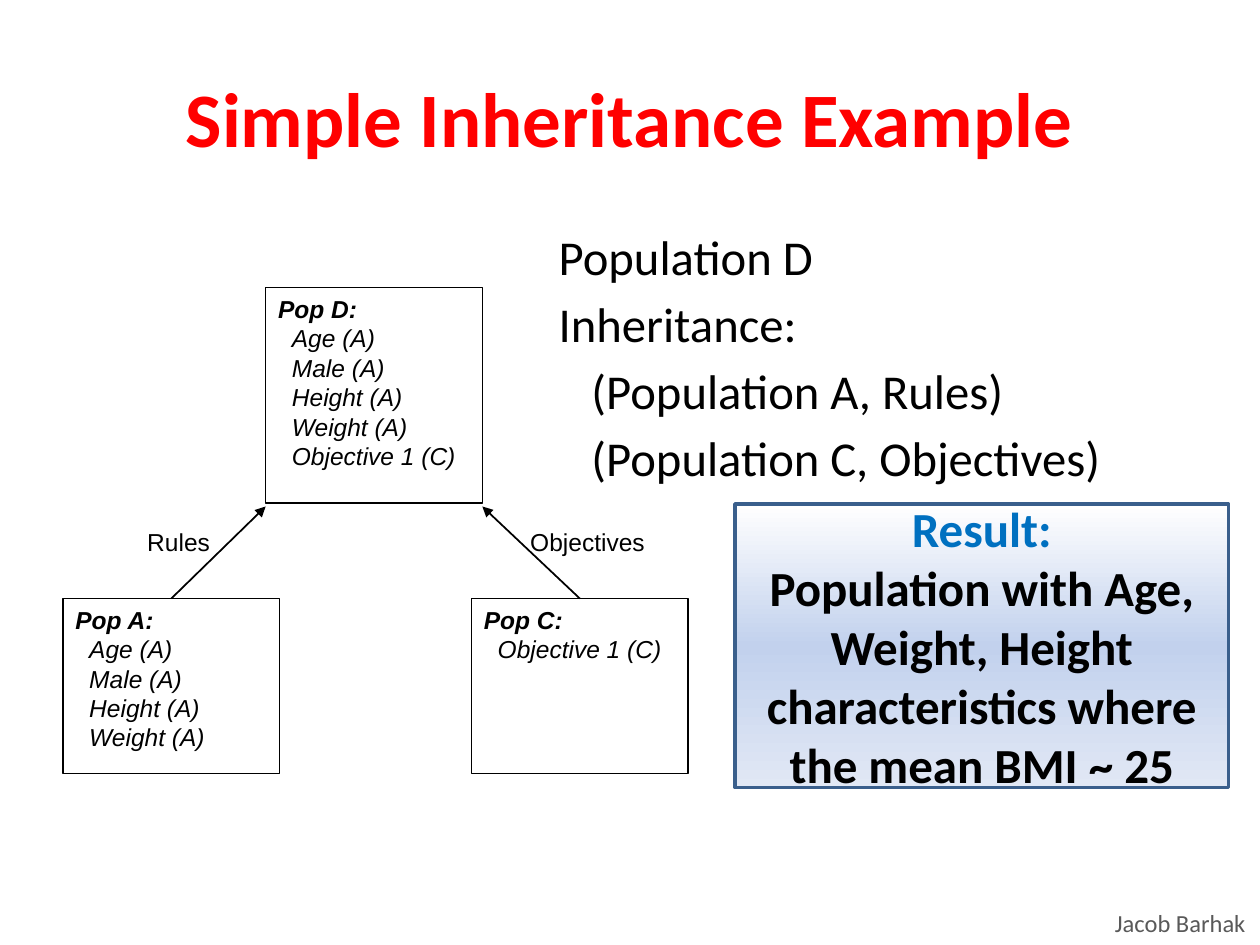
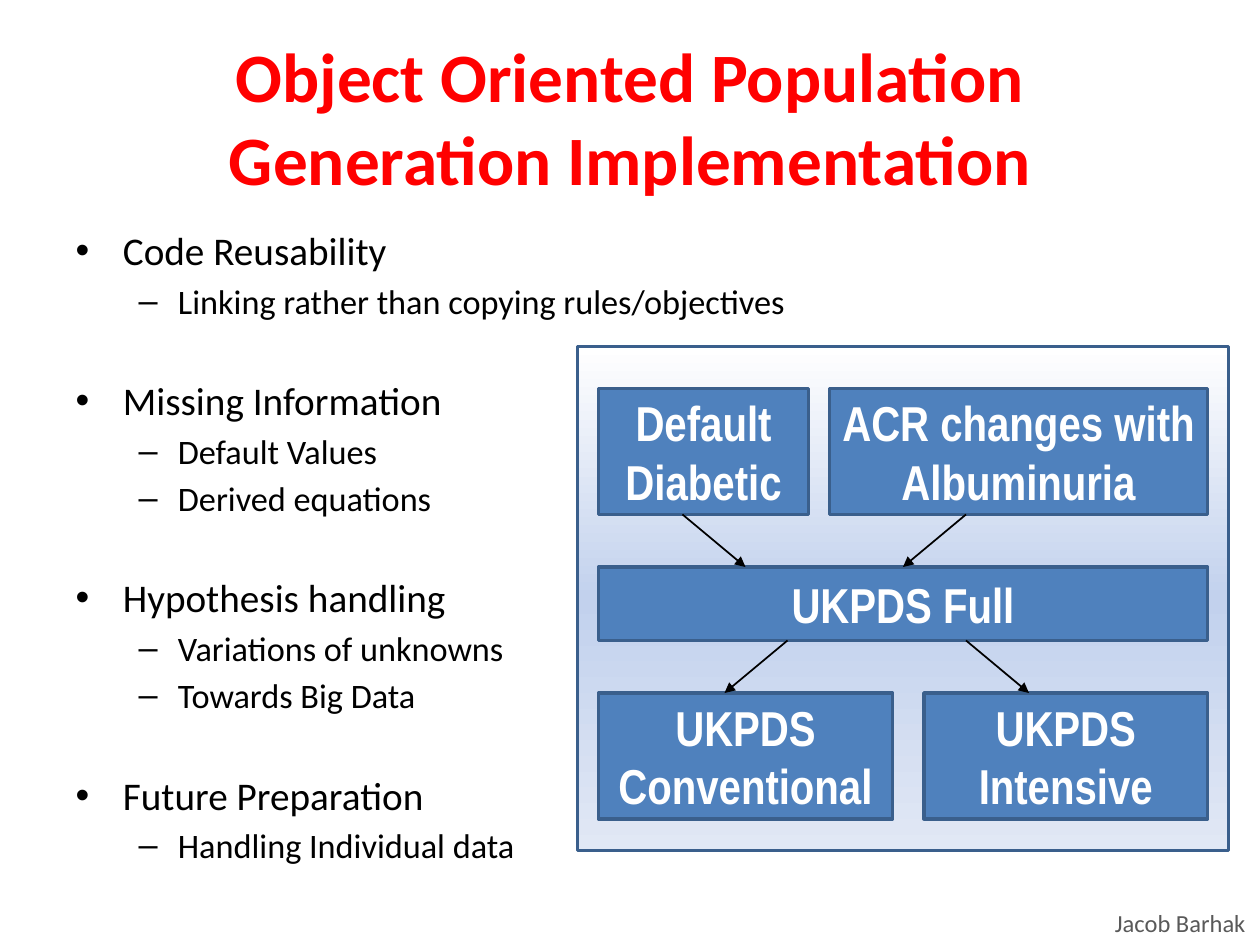
from dataclasses import dataclass

from lxml import etree
from pptx import Presentation
from pptx.dml.color import RGBColor
from pptx.enum.shapes import MSO_CONNECTOR, MSO_SHAPE
from pptx.enum.text import MSO_ANCHOR, MSO_AUTO_SIZE, PP_ALIGN
from pptx.oxml.ns import qn
from pptx.util import Inches, Pt

RECTANGLE, STRAIGHT = MSO_SHAPE.RECTANGLE, MSO_CONNECTOR.STRAIGHT
LEFT, CENTER = PP_ALIGN.LEFT, PP_ALIGN.CENTER
TOP, MIDDLE = MSO_ANCHOR.TOP, MSO_ANCHOR.MIDDLE
NO_AUTOFIT = MSO_AUTO_SIZE.NONE
TOP_SIDE = 0

BLACK = RGBColor(0x00, 0x00, 0x00)
WHITE = RGBColor(0xFF, 0xFF, 0xFF)
TITLE_RED = RGBColor(0xFF, 0x00, 0x00)
RESULT_BLUE = RGBColor(0x00, 0x70, 0xC0)
FOOTER_GREY = RGBColor(0x59, 0x59, 0x59)
BLOCK_BLUE = RGBColor(0x4F, 0x81, 0xBD)
EDGE_BLUE = RGBColor(0x3A, 0x5F, 0x8C)
PANEL_STOPS = [(0, WHITE), (50, RGBColor(0xC2, 0xD1, 0xED)), (100, RGBColor(0xE1, 0xE8, 0xF5))]

SLIDE_WIDTH, SLIDE_HEIGHT = Inches(10), Inches(7.5)
COLUMNS, ROWS = 120, 90

TITLE_FONT = dict(name="Calibri", bold=True, color=TITLE_RED)
FOOTER_FONT = dict(name="Calibri", size=14, color=FOOTER_GREY)
BODY_FONT = dict(name="Calibri", color=BLACK)
LABEL_FONT = dict(name="Arial", size=14, color=BLACK)
RESULT_FONT = dict(name="Calibri", size=28, bold=True, color=BLACK)
BLOCK_FONT = dict(name="Arial Narrow", size=28, bold=True, color=WHITE)


def col(count):
    return round(SLIDE_WIDTH * count / COLUMNS)


def row(count):
    return round(SLIDE_HEIGHT * count / ROWS)


@dataclass
class Box:
    """An area in grid columns and rows."""
    left: float
    top: float
    width: float
    height: float

    def area(self, left, top, width, height):
        return Box(self.left + left, self.top + top, width, height)

    def point(self, x, y):
        return col(self.left + x), row(self.top + y)

    def emu(self):
        return col(self.left), row(self.top), col(self.width), row(self.height)


TITLE_BOX = Box(6, 3.6, 108, 15)
FOOTER_BOX = Box(105, 85.92, 15, 4.08)


def format_font(font, style):
    for attribute, value in style.items():
        if attribute == "color":
            font.color.rgb = value
        else:
            setattr(font, attribute, Pt(value) if attribute == "size" else value)


def write(frame, lines, style, align=LEFT, anchor=TOP):
    frame.word_wrap = True
    frame.auto_size = NO_AUTOFIT
    frame.vertical_anchor = anchor
    frame.text = "\n".join(lines)
    for paragraph in frame.paragraphs:
        paragraph.alignment = align
        format_font(paragraph.runs[0].font, style)
    return frame.paragraphs


def indent(paragraph, left):
    """Set a plain left indent without a bullet."""
    properties = paragraph._p.get_or_add_pPr()
    properties.set("marL", str(Inches(left)))
    properties.set("indent", "0")
    etree.SubElement(properties, qn("a:buNone"))


def add_rectangle(slide, box, fill, edge, edge_width):
    rectangle = slide.shapes.add_shape(RECTANGLE, *box.emu())
    rectangle.shadow.inherit = False
    if fill:
        rectangle.fill.solid()
        rectangle.fill.fore_color.rgb = fill
    rectangle.line.color.rgb = edge
    rectangle.line.width = Pt(edge_width)
    return rectangle


def add_gradient_panel(slide, box):
    panel = add_rectangle(slide, box, None, EDGE_BLUE, 2)
    panel.fill.gradient()
    panel.fill.gradient_angle = 270
    stops = panel._element.spPr.find(".//" + qn("a:gsLst"))
    for old_stop in list(stops):
        stops.remove(old_stop)
    for percent, color in PANEL_STOPS:
        stop = etree.SubElement(stops, qn("a:gs"), pos=str(percent * 1000))
        etree.SubElement(stop, qn("a:srgbClr"), val=str(color))
    return panel


def add_arrow(slide, start, end):
    arrow = slide.shapes.add_connector(STRAIGHT, *start, *end)
    arrow.line.color.rgb = BLACK
    arrow.line.width = Pt(1)
    etree.SubElement(arrow.line._get_or_add_ln(), qn("a:tailEnd"), type="triangle")
    etree.SubElement(arrow._element.spPr, qn("a:effectLst"))
    return arrow


def add_label(slide, box, text, style):
    label = slide.shapes.add_textbox(*box.emu())
    write(label.text_frame, [text], style)
    return label


def add_master_footer(presentation, slide):
    """Build the footer on a slide, then move it to the master for all slides."""
    footer = add_label(slide, FOOTER_BOX, "Jacob Barhak", FOOTER_FONT)
    footer.text_frame.word_wrap = False
    presentation.slide_master.shapes._spTree.append(footer._element)


def place(placeholder, box):
    placeholder.left, placeholder.top, placeholder.width, placeholder.height = box.emu()


def add_titled_slide(presentation, title, size):
    slide = presentation.slides.add_slide(presentation.slide_layouts[1])
    place(slide.shapes.title, TITLE_BOX)
    write(slide.shapes.title.text_frame, [title], TITLE_FONT | dict(size=size), CENTER, MIDDLE)
    return slide


def fill_definition(slide, box):
    lines = [("Population D", 0.5), ("Inheritance:", 0.5),
             ("(Population A, Rules)", 0.76), ("(Population C, Objectives)", 0.76)]
    body = slide.placeholders[1]
    place(body, box)
    paragraphs = write(body.text_frame, [text for text, _ in lines], BODY_FONT | dict(size=27.8))
    for number, (paragraph, (_, left)) in enumerate(zip(paragraphs, lines)):
        paragraph.space_before = Pt(5 if number else 0)
        indent(paragraph, left)


def add_population(slide, box, name, members):
    population = add_rectangle(slide, box, WHITE, BLACK, 0.75)
    heading, *entries = write(population.text_frame, [name, *members],
                              LABEL_FONT | dict(italic=True))
    heading.runs[0].font.bold = True
    for entry in entries:
        indent(entry, 0.11)
    return population


def add_inheritance_tree(slide, box):
    traits = ["Age (A)", "Male (A)", "Height (A)", "Weight (A)"]
    objective = ["Objective 1 (C)"]
    width, parent_top, parent_height = 20.64, 29.6, 16.7
    child_left, child_height = 19.3, 20.5
    arrow_tip = child_height + 0.34
    add_population(slide, box.area(child_left, 0, width, child_height),
                   "Pop D:", traits + objective)
    parents = [
        ("Pop A:", traits, 0, child_left, "Rules", 6.84, 9.36),
        ("Pop C:", objective, 38.9, child_left + width, "Objectives", 43.32, 14.88),
    ]
    for name, members, left, tip, link, link_left, link_width in parents:
        parent = add_population(slide, box.area(left, parent_top, width, parent_height),
                                name, members)
        arrow = add_arrow(slide, box.point(left + width / 2, parent_top),
                          box.point(tip, arrow_tip))
        arrow.begin_connect(parent, TOP_SIDE)
        add_label(slide, box.area(link_left, 22.16, link_width, 4.68), link, LABEL_FONT)


def add_result(slide, box):
    result = add_gradient_panel(slide, box)
    conclusion = ("Population with Age, Weight, Height characteristics "
                  "where the mean BMI ~ 25")
    heading, _ = write(result.text_frame, ["Result:", conclusion], RESULT_FONT, CENTER, MIDDLE)
    heading.runs[0].font.color.rgb = RESULT_BLUE


def fill_benefits(slide, box):
    benefits = {
        "Code Reusability": ["Linking rather than copying rules/objectives"],
        "Missing Information": ["Default Values", "Derived equations"],
        "Hypothesis handling": ["Variations of unknowns", "Towards Big Data"],
        "Future Preparation": ["Handling Individual data"],
    }
    lines = [line for topic, details in benefits.items() for line in (topic, *details)]
    body = slide.placeholders[1]
    place(body, box)
    paragraphs = write(body.text_frame, lines, BODY_FONT)
    for number, (paragraph, line) in enumerate(zip(paragraphs, lines)):
        if line in benefits:
            size, gap = 22.4, 31.6 if number else 0
        else:
            size, gap = 19.6, 3.6
            paragraph.level = 1
        paragraph.runs[0].font.size = Pt(size)
        paragraph.space_before = Pt(gap)


def add_population_flow(slide, box):
    top_row, middle_row, bottom_row = 4, 21, 33
    block_height, full_height = 12, 7
    add_gradient_panel(slide, box)
    blocks = [
        ("Default Diabetic", 2, top_row, 20, block_height),
        ("ACR changes with Albuminuria", 24, top_row, 36, block_height),
        ("UKPDS Full", 2, middle_row, 58, full_height),
        ("UKPDS Conventional", 2, bottom_row, 28, block_height),
        ("UKPDS Intensive", 33, bottom_row, 27, block_height),
    ]
    for name, *bounds in blocks:
        block = add_rectangle(slide, box.area(*bounds), BLOCK_BLUE, EDGE_BLUE, 2)
        write(block.text_frame, [name], BLOCK_FONT, CENTER, MIDDLE)
    levels = [
        (top_row + block_height, middle_row, [(10, 16), (37, 31)]),
        (middle_row + full_height, bottom_row, [(20, 14), (37, 43)]),
    ]
    for start_row, end_row, spans in levels:
        for start, end in spans:
            add_arrow(slide, box.point(start, start_row), box.point(end, end_row))


def build_example_slide(presentation):
    slide = add_titled_slide(presentation, "Simple Inheritance Example", 44)
    fill_definition(slide, Box(46, 21, 68, 59.4))
    add_inheritance_tree(slide, Box(6, 27.4, 59.54, 46.3))
    add_result(slide, Box(70, 48, 47, 27))
    return slide


def build_implementation_slide(presentation):
    slide = add_titled_slide(presentation,
                             "Object Oriented Population Generation Implementation", 39.6)
    fill_benefits(slide, Box(6, 21, 108, 59.4))
    add_population_flow(slide, Box(55, 33, 62, 48))


def main():
    presentation = Presentation()
    presentation.slide_width, presentation.slide_height = SLIDE_WIDTH, SLIDE_HEIGHT
    example = build_example_slide(presentation)
    add_master_footer(presentation, example)
    build_implementation_slide(presentation)
    presentation.save("out.pptx")


if __name__ == "__main__":
    main()
